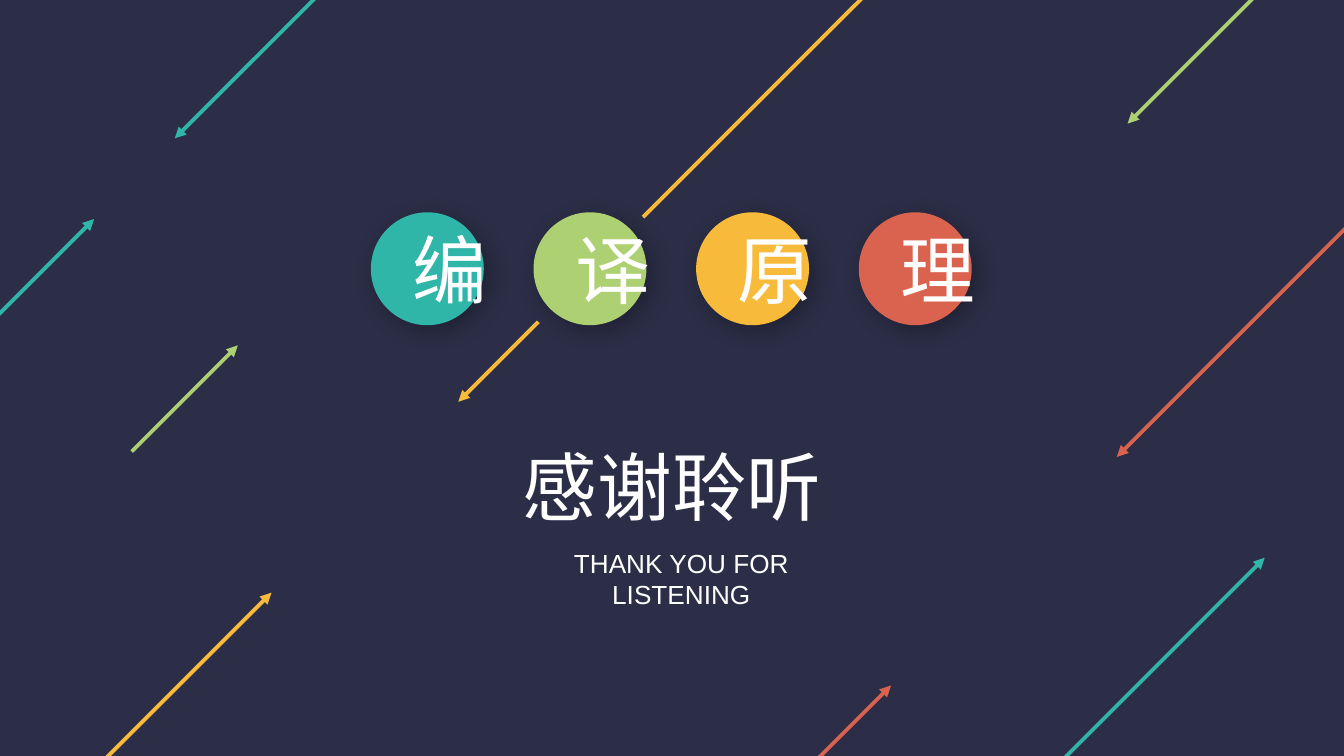
from lxml import etree
from pptx import Presentation
from pptx.dml.color import RGBColor
from pptx.enum.shapes import MSO_CONNECTOR, MSO_SHAPE
from pptx.enum.text import MSO_ANCHOR, MSO_AUTO_SIZE, PP_ALIGN
from pptx.oxml.ns import qn
from pptx.util import Inches, Pt

STRAIGHT = MSO_CONNECTOR.STRAIGHT
OVAL = MSO_SHAPE.OVAL
TOP = MSO_ANCHOR.TOP
CENTER = PP_ALIGN.CENTER
GROW = MSO_AUTO_SIZE.SHAPE_TO_FIT_TEXT

WIDTH = 10
HEIGHT = WIDTH * 9 / 16
NAVY, WHITE = "2C2E47", "FFFFFF"
TEAL, GREEN, YELLOW, RED = "2FB6A8", "ADD072", "F7BA3B", "DA634F"

CLOSING = "感谢聆听"
THANKS = "THANK YOU FOR LISTENING"
COURSE = [("编", TEAL, True), ("译", GREEN, True), ("原", YELLOW, False), ("理", RED, True)]

DOWN, UP = 1, -1
ARROWS = [
    (3.41, 2.99, 3.18, DOWN, YELLOW),
    (0.7, 1.63, 1.05, UP, TEAL),
    (8.39, 0.92, 1.18, DOWN, GREEN),
    (2.02, 4.41, 1.89, UP, YELLOW),
    (8.31, 3.4, 2.16, DOWN, RED),
    (9.41, 4.15, 1.81, UP, TEAL),
    (6.63, 5.1, 0.84, UP, RED),
    (1.3, 1.03, 1.68, DOWN, TEAL),
    (1.77, 2.57, 0.79, UP, GREEN),
]

FIRST_CENTER, PITCH, MIDDLE = 3.18, 1.21, 2.0
DISC, RING = 0.84, 1.1
LETTER_WIDTH, LETTER_HEIGHT = 0.42, 0.77


def color(value):
    return RGBColor.from_string(value)


def add_arrow(slide, tip_x, tip_y, run, direction, hue):
    start = tip_x + direction * run, tip_y - direction * run
    arrow = slide.shapes.add_connector(
        STRAIGHT, *(Inches(v) for v in (*start, tip_x, tip_y)))
    arrow.line.color.rgb = color(hue)
    arrow.line.width = Pt(2)
    outline = arrow._element.spPr.find(qn("a:ln"))
    etree.SubElement(outline, qn("a:tailEnd"), type="triangle")
    etree.SubElement(arrow._element.spPr, qn("a:effectLst"))


def add_circle(slide, center, size, hue):
    circle = slide.shapes.add_shape(
        OVAL, Inches(center - size / 2), Inches(MIDDLE - size / 2), Inches(size), Inches(size))
    circle.shadow.inherit = False
    circle.fill.solid()
    circle.fill.fore_color.rgb = color(hue)
    circle.line.fill.background()
    return circle


def add_shadow(circle):
    effects = circle._element.spPr.find(qn("a:effectLst"))
    shadow = etree.SubElement(
        effects, qn("a:outerShdw"), blurRad=str(Pt(12)), dist=str(Pt(4)),
        dir=str(45 * 60000), algn="tl", rotWithShape="0")
    black = etree.SubElement(shadow, qn("a:srgbClr"), val="000000")
    etree.SubElement(black, qn("a:alpha"), val="30000")


def write(box, words, size, font, wrap=True, inset=0.0):
    frame = box.text_frame
    frame.margin_left = frame.margin_right = Inches(inset)
    frame.margin_top = frame.margin_bottom = Inches(inset / 2)
    frame.vertical_anchor = TOP
    frame.word_wrap = wrap
    frame.auto_size = GROW
    paragraph = frame.paragraphs[0]
    paragraph.alignment = CENTER
    paragraph.line_spacing = 1.0
    paragraph.space_before = Pt(0)
    run = paragraph.add_run()
    run.text = words
    run.font.size = Pt(size)
    run.font.name = font
    run.font.color.rgb = color(WHITE)


def place(box, left, top, width, height):
    box.left, box.top, box.width, box.height = (Inches(v) for v in (left, top, width, height))


def main():
    deck = Presentation()
    deck.slide_width, deck.slide_height = Inches(WIDTH), Inches(HEIGHT)
    slide = deck.slides.add_slide(deck.slide_layouts[5])
    slide.background.fill.solid()
    slide.background.fill.fore_color.rgb = color(NAVY)

    title = slide.shapes.title
    place(title, 3.89, 3.28, 2.22, 0.67)
    write(title, CLOSING, 40, "Arial", wrap=False)

    for arrow in ARROWS:
        add_arrow(slide, *arrow)

    for column, (letter, hue, ringed) in enumerate(COURSE):
        center = FIRST_CENTER + column * PITCH
        if ringed:
            add_circle(slide, center, RING, NAVY)
        add_shadow(add_circle(slide, center, DISC, hue))
        label = slide.shapes.add_textbox(0, 0, 0, 0)
        place(label, center - LETTER_WIDTH / 2, 1.62, LETTER_WIDTH, LETTER_HEIGHT)
        write(label, letter, 40, "Arial Narrow", inset=0.1)

    thanks = slide.shapes.add_textbox(0, 0, 0, 0)
    place(thanks, 3.77, 4.07, 2.6, 0.24)
    write(thanks, THANKS, 14, "Arial")

    deck.save("out.pptx")


if __name__ == "__main__":
    main()
